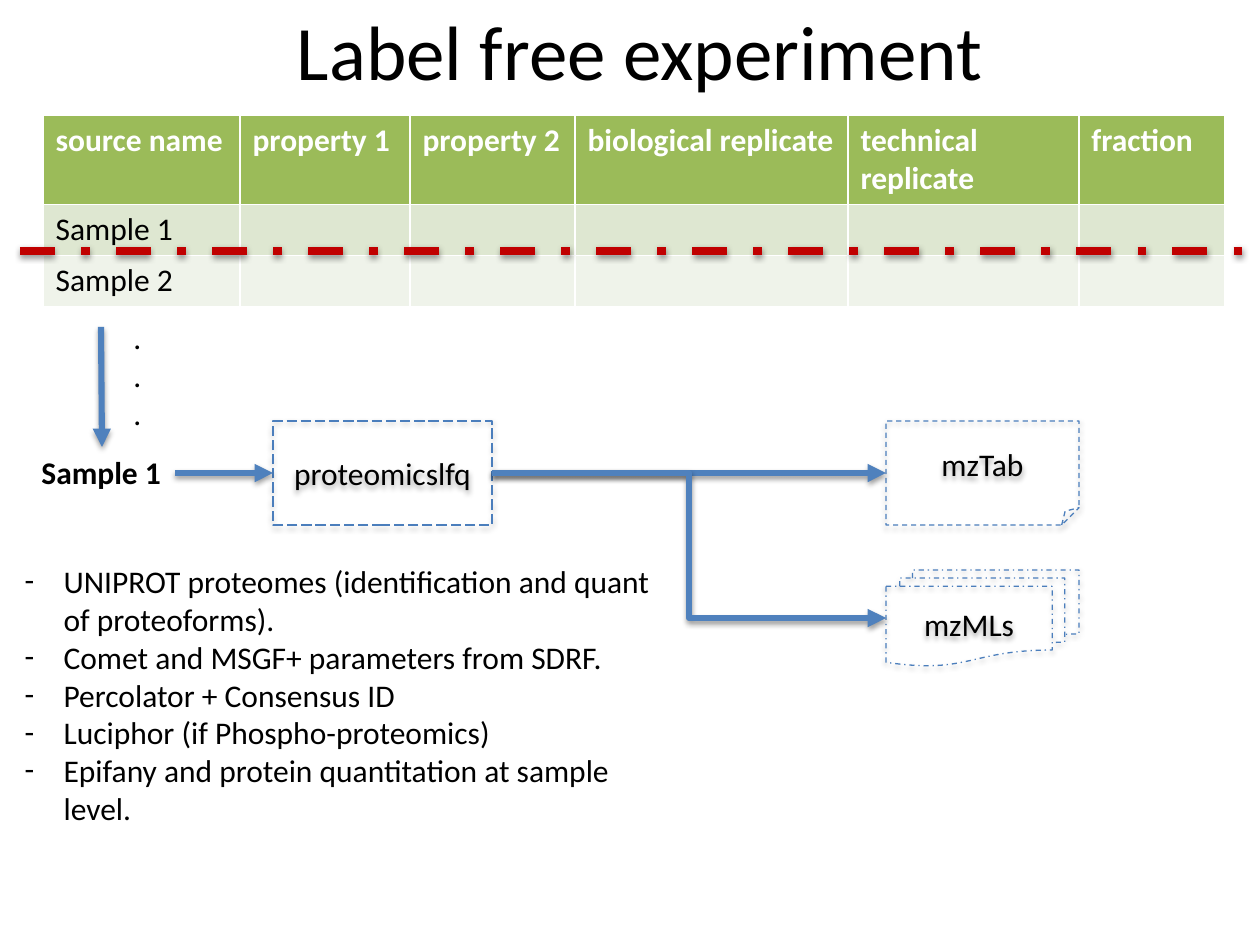
from dataclasses import dataclass

from pptx import Presentation
from pptx import util as u
from pptx.dml.color import RGBColor
from pptx.enum import dml, shapes, text
from pptx.oxml.ns import qn
from lxml import etree


@dataclass
class Theme:
    font: str = "Calibri"
    title_size: int = 44
    body_size: int = 18
    ink: str = "000000"
    paper: str = "FFFFFF"
    header: str = "9BBB59"
    bands: tuple = ("DEE7D1", "EFF3EA")
    cut: str = "C00000"
    flow: str = "4F81BD"
    outline: str = "4B7EBC"
    table_style: str = "{F5AB1C69-6EDB-4FF4-983F-18BD219EF322}"


theme = Theme()


def px(*lengths):
    return [u.Emu(round(length * 914400 / 126)) for length in lengths]


def write(paragraph, words, color=theme.ink, bold=False, size=theme.body_size):
    run = paragraph.add_run()
    run.text = words
    run.font.name = theme.font
    run.font.size = u.Pt(size)
    run.font.bold = bold
    run.font.color.rgb = RGBColor.from_string(color)


deck = Presentation()
deck.slide_width, deck.slide_height = px(1260, 945)
slide = deck.slides.add_slide(deck.slide_layouts[1])

title = slide.shapes.title
title.left, title.top, title.width, title.height = px(73, -6, 1134, 111)
title.text_frame.auto_size = text.MSO_AUTO_SIZE.NONE
title.text_frame.vertical_anchor = text.MSO_ANCHOR.MIDDLE
write(title.text_frame.paragraphs[0], "Label free experiment", size=theme.title_size)

steps = slide.placeholders[1]
steps.left, steps.top, steps.width, steps.height = px(12, 556, 653, 280)
steps.text_frame.auto_size = text.MSO_AUTO_SIZE.NONE
for index, step in enumerate([
    "UNIPROT proteomes (identification and quant of proteoforms).",
    "Comet and MSGF+ parameters from SDRF.",
    "Percolator + Consensus ID",
    "Luciphor (if Phospho-proteomics)",
    "Epifany and protein quantitation at sample level.",
]):
    frame = steps.text_frame
    paragraph = frame.add_paragraph() if index else frame.paragraphs[0]
    paragraph.space_before = u.Pt(0)
    write(paragraph, step)
    properties = paragraph._p.get_or_add_pPr()
    indent = px(39)[0]
    properties.set("marL", str(indent))
    properties.set("indent", str(-indent))
    etree.SubElement(properties, qn("a:buFont")).set("typeface", theme.font)
    etree.SubElement(properties, qn("a:buChar")).set("char", "-")

rows = [
    ["source name", "property 1", "property 2", "biological replicate",
     "technical replicate", "fraction"],
    ["Sample 1"],
    ["Sample 2"],
]
row_heights = px(88, 51, 51)
column_widths = px(197, 170, 165, 273, 231, 146)
samples = slide.shapes.add_table(3, 6, *px(43, 115, 1182, 190)).table
samples._tbl.tblPr.find(qn("a:tableStyleId")).text = theme.table_style
for column, width in zip(samples.columns, column_widths):
    column.width = width
for r, (height, fill) in enumerate(zip(row_heights, (theme.header, *theme.bands))):
    samples.rows[r].height = height
    for cell in samples.rows[r].cells:
        cell.fill.solid()
        cell.fill.fore_color.rgb = RGBColor.from_string(fill)
    for c, words in enumerate(rows[r]):
        write(samples.cell(r, c).text_frame.paragraphs[0], words,
              theme.ink if r else theme.paper, bold=r == 0)

labels = []
for place, lines, bold in [
    ((29, 447, 146, 52), ["Sample 1"], True),
    ((121, 312, 34, 127), [".", ".", "."], False),
]:
    label = slide.shapes.add_textbox(*px(*place))
    label.text_frame.word_wrap = False
    for index, line in enumerate(lines):
        frame = label.text_frame
        write(frame.add_paragraph() if index else frame.paragraphs[0], line, bold=bold)
    labels.append(label)
sample = labels[0]

nodes = []
for kind, place, dash, words in [
    (shapes.MSO_SHAPE.RECTANGLE, (273, 421, 219, 104), dml.MSO_LINE.LONG_DASH, "proteomicslfq"),
    (shapes.MSO_SHAPE.FOLDED_CORNER, (886, 421, 193, 104), dml.MSO_LINE.DASH, "mzTab"),
    (shapes.MSO_SHAPE.FLOWCHART_MULTIDOCUMENT, (886, 570, 193, 96), dml.MSO_LINE.DASH_DOT, "mzMLs"),
]:
    node = slide.shapes.add_shape(kind, *px(*place))
    node.fill.background()
    node.line.color.rgb = RGBColor.from_string(theme.outline)
    node.line.width = u.Pt(0.75)
    node.line.dash_style = dash
    node.text_frame.vertical_anchor = text.MSO_ANCHOR.MIDDLE
    paragraph = node.text_frame.paragraphs[0]
    paragraph.alignment = text.PP_ALIGN.CENTER
    write(paragraph, words)
    nodes.append(node)
pipeline, mztab, mzmls = nodes

cut = slide.shapes.add_connector(shapes.MSO_CONNECTOR.STRAIGHT, *px(20, 251, 1260, 251))
cut.line.color.rgb = RGBColor.from_string(theme.cut)
cut.line.width = u.Pt(5)
cut.line.dash_style = dml.MSO_LINE.DASH_DOT

straight, elbow = shapes.MSO_CONNECTOR.STRAIGHT, shapes.MSO_CONNECTOR.ELBOW
for kind, ends, source, target, side in [
    (straight, (101, 327, 102, 447), None, sample, 0),
    (straight, (175, 473, 273, 473), sample, pipeline, 1),
    (straight, (492, 473, 886, 473), pipeline, mztab, 1),
    (elbow, (492, 473, 886, 618), pipeline, mzmls, 1),
]:
    arrow = slide.shapes.add_connector(kind, *px(*ends))
    if source is not None:
        arrow.begin_connect(source, 3)
    arrow.end_connect(target, side)
    arrow.line.color.rgb = RGBColor.from_string(theme.flow)
    arrow.line.width = u.Pt(3.5)
    etree.SubElement(arrow.line._get_or_add_ln(), qn("a:tailEnd")).set("type", "triangle")

deck.save("out.pptx")
